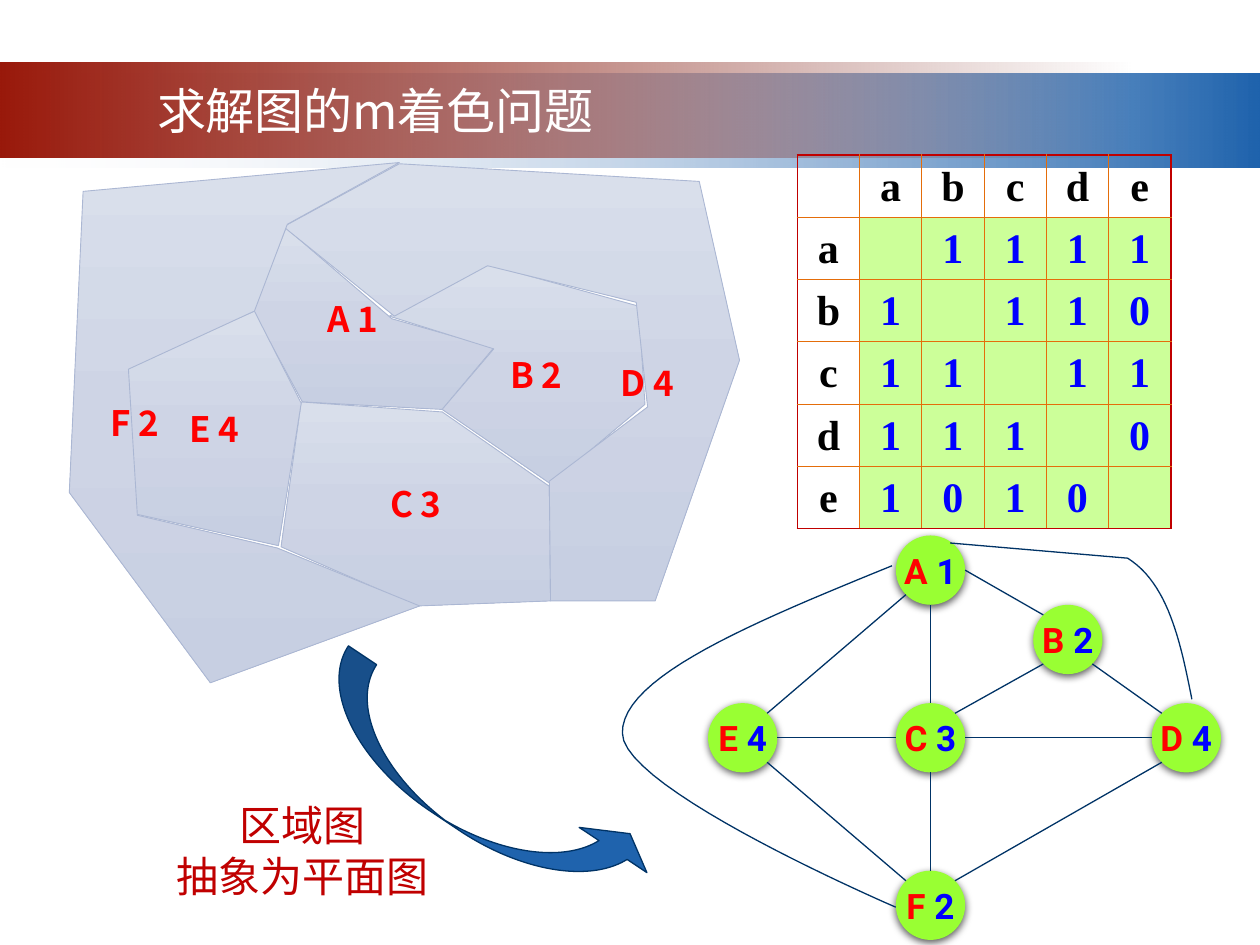
"""Build the slide on solving the m-colouring problem of a graph."""
from dataclasses import dataclass, field
from math import cos, radians, sin

from lxml import etree
from pptx import Presentation, util as u
from pptx.dml.color import RGBColor
from pptx.enum import shapes, text
from pptx.oxml.ns import qn

Pt = u.Pt
MID, TOP = text.MSO_ANCHOR.MIDDLE, text.MSO_ANCHOR.TOP


@dataclass
class Theme:
    """Hold the colours, fonts and type sizes."""
    blue: str = "1F63AD"
    navy: str = "003366"
    crimson: str = "C00000"
    orange: str = "E46D0A"
    red: str = "FF0000"
    ink: str = "0000FF"
    black: str = "000000"
    white: str = "FFFFFF"
    lime: str = "99FF33"
    pale: str = "CCFF99"
    edge: str = "ABB7D3"
    land: tuple = ((0, "D9DFEB", 100), (50, "CED4E5", 100), (100, "C7CFE2", 100))
    cool: tuple = ((0, "F1F2F7", 0), (100, "1F63AD", 100))
    warm: tuple = ((0, "99190B", 100), (100, "6D1208", 0))
    sans: str = "Noto Sans CJK SC"
    serif: str = "Times New Roman"
    mono: str = "Courier New"
    round: str = "Roboto"
    size: dict = field(default_factory=lambda: dict(title=28, body=24, label=20))


def rgb(code):
    """Turn a hex code into a colour."""
    return RGBColor.from_string(code)


def put(obj, vals):
    """Set each named value on an object."""
    for key, val in vals.items():
        setattr(obj, key, val)


def tag(parent, name, **attrs):
    """Append a drawing element."""
    return etree.SubElement(parent, qn("a:" + name), {k: str(v) for k, v in attrs.items()})


def bend(a, b, c, d, steps=24):
    """Give the points of a cubic curve after its start."""
    return [tuple((1 - t) ** 3 * p + 3 * (1 - t) ** 2 * t * q + 3 * (1 - t) * t * t * r + t ** 3 * s
                  for p, q, r, s in zip(a, b, c, d))
            for t in (i / steps for i in range(1, steps + 1))]


class Deck:
    """Draw styled elements on the current slide."""

    def __init__(self, theme, slide):
        """Keep the theme and the slide."""
        self.t, self.slide, self.items = theme, slide, slide.shapes

    def ink(self, line, color, width):
        """Style a line."""
        line.color.rgb = rgb(color)
        line.width = Pt(width)

    def fade(self, shape, stops, angle=0):
        """Fill a shape with a linear gradient."""
        shape.fill.gradient()
        shape.fill.gradient_angle = angle
        group = shape.element.spPr.find(".//" + qn("a:gsLst"))
        for old in list(group):
            group.remove(old)
        for pos, color, alpha in stops:
            clr = tag(tag(group, "gs", pos=pos * 1000), "srgbClr", val=color)
            if alpha < 100:
                tag(clr, "alpha", val=alpha * 1000)

    def say(self, frame, lines, font, size, bold=False, wrap=False, anchor=MID, pitch=None, **pad):
        """Fill a frame with centred lines, each a list of text and colour pairs."""
        put(frame, dict(word_wrap=wrap, vertical_anchor=anchor,
                        **{"margin_" + k: Pt(v) for k, v in pad.items()}))
        for i, runs in enumerate(lines):
            para = frame.add_paragraph() if i else frame.paragraphs[0]
            para.alignment = text.PP_ALIGN.CENTER
            if pitch:
                para.line_spacing = Pt(pitch)
            for words, color in runs:
                run = para.add_run()
                run.text = words
                put(run.font, dict(name=font, size=Pt(self.t.size[size]), bold=bold))
                run.font.color.rgb = rgb(color)
                tag(run.font._element, "ea", typeface=self.t.sans)

    def form(self, kind, x, y, w, h):
        """Add a plain preset shape."""
        shape = self.items.add_shape(kind, Pt(x), Pt(y), Pt(w), Pt(h))
        shape.shadow.inherit = False
        shape.line.fill.background()
        return shape

    def band(self, x, y, w, h, stops):
        """Add a gradient band."""
        self.fade(self.form(shapes.MSO_SHAPE.RECTANGLE, x, y, w, h), stops)

    def label(self, x, y, w, h, lines, **look):
        """Add a text box."""
        self.say(self.items.add_textbox(Pt(x), Pt(y), Pt(w), Pt(h)).text_frame, lines, **look)

    def trace(self, pts, color, width, close=False):
        """Add an outline through points."""
        pts = [(Pt(x), Pt(y)) for x, y in pts]
        pen = self.items.build_freeform(*pts[0], scale=1.0)
        pen.add_line_segments(pts[1:], close=close)
        shape = pen.convert_to_shape()
        shape.shadow.inherit = False
        shape.fill.background()
        self.ink(shape.line, color, width)
        return shape

    def region(self, name, pts, left=0, right=0):
        """Add a map region with its label."""
        shape = self.trace(pts, self.t.edge, 0.5, True)
        self.fade(shape, self.t.land, 270)
        self.say(shape.text_frame, [[(name, self.t.red)]], self.t.sans, "label", True,
                 left=left, right=right, top=0, bottom=0)

    def node(self, name, num, x, y, r):
        """Add a graph node around its centre."""
        shape = self.form(shapes.MSO_SHAPE.OVAL, x - r, y - r, 2 * r, 2 * r)
        shape.fill.solid()
        shape.fill.fore_color.rgb = rgb(self.t.lime)
        cast = tag(shape.element.spPr.find(qn("a:effectLst")), "outerShdw", blurRad=Pt(4.5),
                   dist=Pt(1.5), dir=5400000, rotWithShape=0)
        tag(tag(cast, "srgbClr", val=self.t.black), "alpha", val=63000)
        self.say(shape.text_frame, [[(name + " ", self.t.red), (num, self.t.ink)]],
                 self.t.round, "label", True)

    def link(self, start, end):
        """Add a straight edge."""
        line = self.items.add_connector(shapes.MSO_CONNECTOR.STRAIGHT, *map(Pt, start + end))
        self.ink(line.line, self.t.navy, 0.75)
        tag(line.element.spPr, "effectLst")

    def arrow(self, x, y, w, h, turn, adjust):
        """Add the curved arrow."""
        shape = self.form(shapes.MSO_SHAPE.CURVED_UP_ARROW, x, y, w, h)
        shape.rotation = turn
        for i, val in enumerate(adjust):
            shape.adjustments[i] = val
        shape.fill.solid()
        shape.fill.fore_color.rgb = rgb(self.t.blue)
        self.ink(shape.line, self.t.navy, 0.75)

    def grid(self, x, y, step, rows):
        """Add a square table with a heavy frame."""
        n = len(rows)
        table = self.items.add_table(n, n, Pt(x), Pt(y), Pt(step * n), Pt(step * n)).table
        put(table, dict(first_row=False, horz_banding=False))
        for i, row in enumerate(rows):
            table.rows[i].height = table.columns[i].width = Pt(step)
            for j, word in enumerate(row):
                cell, head = table.cell(i, j), i == 0 or j == 0
                rims = dict(L=j == 0, R=j == n - 1, T=i == 0, B=i == n - 1)
                for side, rim in rims.items():
                    line = tag(cell._tc.get_or_add_tcPr(), "ln" + side, w=Pt(1 if rim else 0.5))
                    tag(tag(line, "solidFill"), "srgbClr",
                        val=self.t.crimson if rim else self.t.orange)
                if head:
                    cell.fill.background()
                else:
                    cell.fill.solid()
                    cell.fill.fore_color.rgb = rgb(self.t.pale)
                put(cell, dict(vertical_anchor=MID, margin_left=Pt(0.7), margin_right=Pt(0.7),
                               margin_top=Pt(0.7), margin_bottom=0))
                if word.strip():
                    self.say(cell.text_frame, [[(word, self.t.black if head else self.t.ink)]],
                             self.t.serif, "body", True, wrap=True)


REGIONS = [
    ("A 1", [(163.4, 130.3), (144.7, 177.8), (172.8, 229.7), (252.7, 234), (282.2, 198.7),
             (223.9, 182.2)], dict(right=24)),
    ("B 2", [(222.5, 180.7), (278.6, 151.2), (365, 175), (368.6, 231.1), (314.6, 276.5),
             (252.7, 234), (282.2, 199.4)], dict(left=22)),
    ("C 3", [(313.9, 277.9), (314.6, 343.4), (238.3, 346.3), (160.6, 312.5), (172.1, 229.7),
             (252.7, 235.4)], {}),
    ("D 4", [(162, 129.6), (228.2, 93.6), (399.6, 103.7), (422.6, 205.9), (374.4, 343.4),
             (314.6, 343.4), (313.9, 275), (370.1, 232.6), (363.6, 172.8), (278.6, 151.9),
             (225.4, 180.7)], dict(left=155)),
    ("E 4", [(145.4, 177.8), (72.7, 209.5), (77.8, 293.8), (159.1, 311.8), (172.1, 230.4)], {}),
    ("F 2", [(228.2, 92.9), (47.5, 109.4), (39.6, 281.5), (120.2, 390.2), (239.8, 346.3),
             (158.4, 313.2), (78.5, 294.5), (73.4, 211), (145.4, 177.8), (164.2, 128.2)],
     dict(right=125)),
]
NODES = dict(A=("1", 531.7, 325.8), C=("3", 531.7, 421.6), F=("2", 531.7, 517.3),
             B=("2", 610.2, 365.4), D=("4", 677.9, 421.6), E=("4", 424.4, 421.6))
EDGES = [("A", 90, "C"), ("C", 90, "F"), ("C", 180, "E"), ("C", 0, "D"), ("C", -45, "B"),
         ("E", -45, "A"), ("A", 0, "B"), ("B", 45, "D"), ("F", -45, "D"), ("E", 45, "F")]
ENDS = {("A", "B"): 225}
RADIUS = 19.8


def site(name, turn):
    """Find the point on a node's rim at an angle."""
    _, x, y = NODES[name]
    return x + RADIUS * cos(radians(turn)), y + RADIUS * sin(radians(turn))


def main():
    """Build and save the slide."""
    show = Presentation()
    put(show, dict(slide_width=Pt(720), slide_height=Pt(540)))
    t = Theme()
    deck = Deck(t, show.slides.add_slide(show.slide_layouts[6]))
    deck.band(0, 42, 720, 54, t.cool)
    deck.band(0, 36, 648, 54, t.warm)
    deck.grid(455.6, 88.6, 35.6, [" abcde", "a 1111", "b1 110", "c11 11", "d111 0", "e1010 "])
    for name, pts, pad in REGIONS:
        deck.region(name, pts, **pad)
    for name, (num, x, y) in NODES.items():
        deck.node(name, num, x, y, RADIUS)
    for a, turn, b in EDGES:
        deck.link(site(a, turn), site(b, ENDS.get((a, b), turn + 180)))
    left, low = (509.8, 323.3), (355.7, 419)
    deck.trace([left] + bend(left, (432, 355), (355, 386.6), low)
               + bend(low, (355.7, 451.4), (511.9, 518.4), (511.9, 518.4)), t.navy, 0.75)
    knee = (644.4, 319)
    deck.trace([(542.9, 310.3), knee] + bend(knee, (667.4, 333.4), (674.6, 366.5), (681.1, 399.6)),
               t.navy, 0.75)
    deck.arrow(166.3, 424.8, 216.7, 52.6, 33.7, (0.368, 0.885, 0.25))
    deck.label(92.9, 453, 159.8, 66, [[("区域图", t.crimson)], [("抽象为平面图", t.crimson)]],
               font=t.mono, size="body", anchor=TOP, pitch=29)
    deck.label(44.6, 42.5, 339.8, 41, [[("求解图的m着色问题", t.white)]],
               font=t.sans, size="title", wrap=True)
    show.save("out.pptx")


if __name__ == "__main__":
    main()
